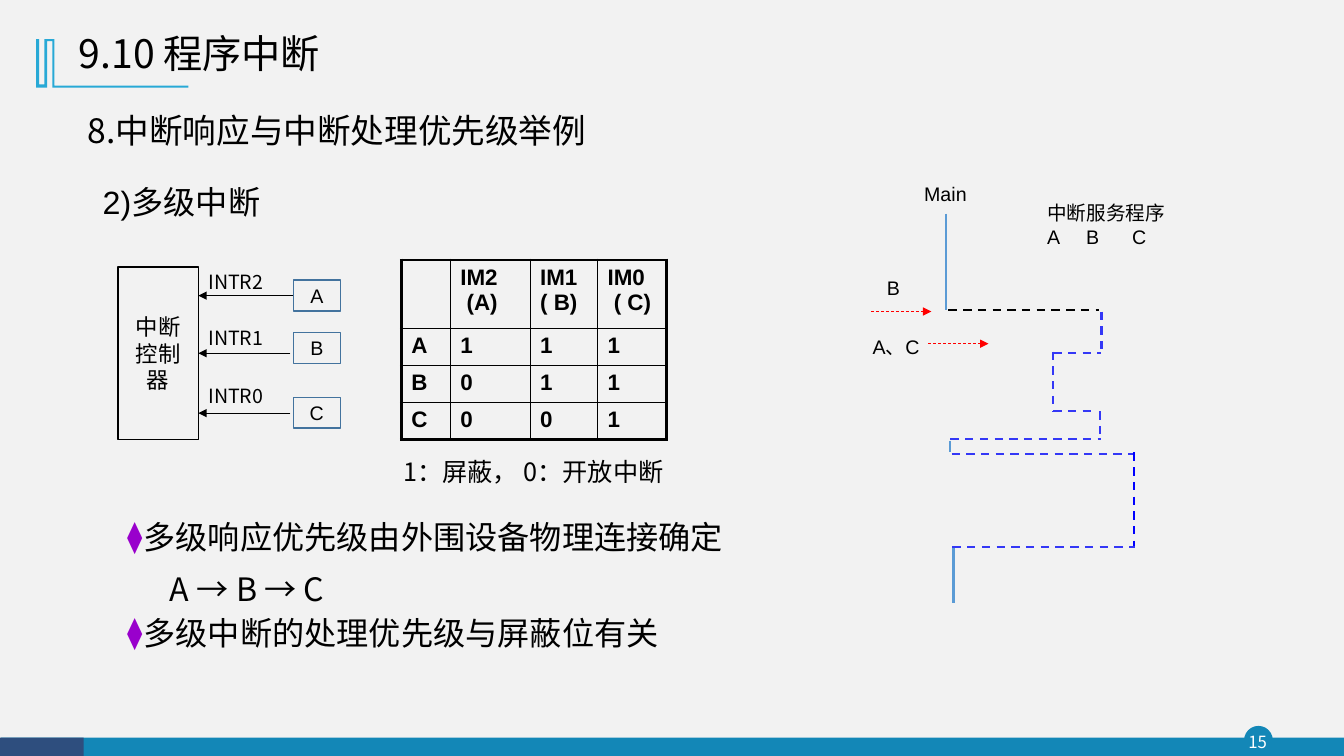
"""Build a slide on multi-level interrupt response and handling priority."""
from lxml.etree import SubElement
from pptx import Presentation
from pptx.dml.color import RGBColor
from pptx.enum.dml import MSO_LINE
from pptx.enum.shapes import MSO_CONNECTOR, MSO_SHAPE
from pptx.enum.text import MSO_ANCHOR, MSO_AUTO_SIZE, PP_ALIGN
from pptx.oxml.ns import qn
from pptx.util import Cm, Pt

BLACK = RGBColor(0x00, 0x00, 0x00)
WHITE = RGBColor(0xFF, 0xFF, 0xFF)
BACKGROUND = RGBColor(0xF2, 0xF2, 0xF2)
TEAL = RGBColor(0x13, 0x87, 0xB7)
NAVY = RGBColor(0x2E, 0x4E, 0x7E)
SKY = RGBColor(0x28, 0xA9, 0xD6)
DEVICE_LINE = RGBColor(0x43, 0x73, 0x9E)
PROGRAM_BLUE = RGBColor(0x5B, 0x9B, 0xD5)
SERVICE_BLUE = RGBColor(0x34, 0x38, 0xF6)
DEEP_BLUE = RGBColor(0x00, 0x00, 0xFF)
RED = RGBColor(0xFF, 0x00, 0x00)
PURPLE = RGBColor(0x99, 0x00, 0xCC)
SANS = "Noto Sans CJK SC"
HEADING = "Noto Sans CJK JP"
LATIN = "Arial"

ORNAMENT = [
    (1.37, 0.99), (1.37, 2.16), (4.75, 2.16), (4.75, 2.21), (1.32, 2.21),
    (1.32, 1.04), (1.19, 1.04), (1.19, 2.21), (0.91, 2.21), (0.91, 0.99),
    (0.99, 0.99), (0.99, 2.13), (1.12, 2.13), (1.12, 0.99),
]
MASK_ROWS = [
    ["", "IM2\n (A)", "IM1\n( B)", "IM0\n ( C)"],
    ["A", "1", "1", "1"],
    ["B", "0", "1", "1"],
    ["C", "0", "0", "1"],
]
PROGRAM_LINES = [
    (23.83, 5.38, 23.83, 7.82),
    (23.95, 11.1, 23.95, 11.4),
    (24.03, 13.79, 24.03, 15.19),
]
SERVICE_LINES = [
    (23.9, 7.82, 27.69, 7.82, BLACK),
    (27.76, 7.85, 27.76, 8.94, SERVICE_BLUE),
    (26.54, 8.89, 27.74, 8.89, SERVICE_BLUE),
    (26.54, 8.86, 26.54, 10.36, SERVICE_BLUE),
    (26.54, 10.36, 27.64, 10.36, SERVICE_BLUE),
    (27.71, 10.36, 27.71, 11.07, SERVICE_BLUE),
    (23.95, 11.07, 27.74, 11.07, SERVICE_BLUE),
    (23.98, 11.43, 28.58, 11.43, SERVICE_BLUE),
    (28.58, 11.4, 28.58, 13.79, DEEP_BLUE),
    (24.0, 13.79, 28.6, 13.79, SERVICE_BLUE),
]


def add_run(paragraph, text, size, font=SANS, color=BLACK, bold=False):
    run = paragraph.add_run()
    run.text = text
    run.font.size = Pt(size)
    run.font.bold = bold
    run.font.name = font
    run.font.color.rgb = color
    east_asian = SubElement(run.font._element, qn("a:ea"))
    east_asian.set("typeface", SANS if font == LATIN else font)


def add_label(slide, left, top, width, height, text, size, font=SANS):
    frame = slide.shapes.add_textbox(Cm(left), Cm(top), Cm(width), Cm(height)).text_frame
    frame.word_wrap = True
    add_run(frame.paragraphs[0], text, size, font)
    return frame


def add_box(slide, left, top, width, height, fill=None, line=None, kind=MSO_SHAPE.RECTANGLE):
    shape = slide.shapes.add_shape(kind, Cm(left), Cm(top), Cm(width), Cm(height))
    shape.shadow.inherit = False
    if fill is None:
        shape.fill.background()
    else:
        shape.fill.solid()
        shape.fill.fore_color.rgb = fill
    if line is None:
        shape.line.fill.background()
    else:
        shape.line.color.rgb = line
        shape.line.width = Pt(1)
    return shape


def add_centred_text(shape, text, size, font=SANS, color=BLACK):
    shape.text_frame.word_wrap = True
    shape.text_frame.vertical_anchor = MSO_ANCHOR.MIDDLE
    paragraph = shape.text_frame.paragraphs[0]
    paragraph.alignment = PP_ALIGN.CENTER
    add_run(paragraph, text, size, font, color)


def add_line(slide, x1, y1, x2, y2, color, width=1.5, dashed=False, arrow=False):
    line = slide.shapes.add_connector(MSO_CONNECTOR.STRAIGHT, Cm(x1), Cm(y1), Cm(x2), Cm(y2))
    line.line.color.rgb = color
    line.line.width = Pt(width)
    if dashed:
        line.line.dash_style = MSO_LINE.DASH
    if arrow:
        SubElement(line.line._get_or_add_ln(), qn("a:tailEnd")).set("type", "triangle")
    SubElement(line._element.spPr, qn("a:effectLst"))
    return line


def set_bullet(paragraph, hanging):
    properties = paragraph._p.get_or_add_pPr()
    properties.set("marL", str(Cm(hanging)))
    properties.set("indent", str(-Cm(hanging)))
    color = SubElement(SubElement(properties, qn("a:buClr")), qn("a:srgbClr"))
    color.set("val", str(PURPLE))
    SubElement(properties, qn("a:buSzPct")).set("val", "96000")
    SubElement(properties, qn("a:buFont")).set("typeface", LATIN)
    SubElement(properties, qn("a:buChar")).set("char", "⧫")


def place(shape, left, top, width, height):
    shape.left, shape.top, shape.width, shape.height = Cm(left), Cm(top), Cm(width), Cm(height)
    shape.text_frame.auto_size = MSO_AUTO_SIZE.NONE
    shape.text_frame.word_wrap = True


def fill_title(title):
    place(title, 1.73, 0.53, 11.4, 1.73)
    title.text_frame.vertical_anchor = MSO_ANCHOR.MIDDLE
    paragraph = title.text_frame.paragraphs[0]
    paragraph.alignment = PP_ALIGN.LEFT
    paragraph.line_spacing = 0.9
    add_run(paragraph, "9.10 程序中断", 28)


def fill_conclusions(body):
    place(body, 2.95, 12.58, 15.85, 3.9)
    lines = [
        ("多级响应优先级由外围设备物理连接确定", True, 37),
        ("A → B → C", False, 37),
        ("多级中断的处理优先级与屏蔽位有关", True, 31.5),
    ]
    for index, (text, bulleted, spacing) in enumerate(lines):
        frame = body.text_frame
        paragraph = frame.add_paragraph() if index else frame.paragraphs[0]
        if bulleted:
            set_bullet(paragraph, 0.41)
        else:
            properties = paragraph._p.get_or_add_pPr()
            properties.set("marL", str(Cm(1.08)))
            properties.set("indent", "0")
            SubElement(properties, qn("a:buNone"))
        paragraph.space_before = Pt(0)
        paragraph.line_spacing = Pt(spacing)
        add_run(paragraph, text, 23)


def set_borders(cell, widths):
    properties = cell._tc.get_or_add_tcPr()
    for side, width in zip("LRTB", widths):
        line = SubElement(properties, qn(f"a:ln{side}"), w=str(Pt(width)))
        SubElement(SubElement(line, qn("a:solidFill")), qn("a:srgbClr")).set("val", str(BLACK))


def add_mask_table(slide):
    column_widths, row_heights = [1.24, 2.01, 1.7, 1.73], [1.73, 0.93, 0.93, 0.93]
    table = slide.shapes.add_table(
        4, 4, Cm(10.11), Cm(6.55), Cm(sum(column_widths)), Cm(sum(row_heights))).table
    for column, width in zip(table.columns, column_widths):
        column.width = Cm(width)
    for row, height in zip(table.rows, row_heights):
        row.height = Cm(height)
    for r, values in enumerate(MASK_ROWS):
        for c, value in enumerate(values):
            cell = table.cell(r, c)
            outer = (c == 0, c == 3, r == 0, r == 3)
            set_borders(cell, [2.25 if edge else 1 for edge in outer])
            cell.fill.background()
            for index, text in enumerate(value.split("\n")):
                frame = cell.text_frame
                paragraph = frame.add_paragraph() if index else frame.paragraphs[0]
                add_run(paragraph, text, 16, LATIN, bold=True)


def add_controller(slide):
    controller = add_box(slide, 2.97, 6.73, 2.03, 4.34, line=BLACK)
    add_centred_text(controller, "中断控制器", 16)
    requests = [("A", "INTR2", 7.06, 6.68, 7.39, 7.45),
                ("B", "INTR1", 8.38, 8.08, 7.32, 8.9),
                ("C", "INTR0", 10.01, 9.55, 7.32, 10.41)]
    for name, signal, box_top, label_top, start, y in requests:
        device = add_box(slide, 7.39, box_top, 1.19, 0.78, line=DEVICE_LINE)
        add_centred_text(device, name, 14, LATIN)
        add_label(slide, 5, label_top, 1.96, 0.86, signal, 14)
        arrow = add_line(slide, start, y, 5, y, BLACK, 0.5, arrow=True)
        if name == "A":
            arrow.begin_connect(device, 1)
        elif name == "B":
            arrow.end_connect(controller, 3)


def add_timeline(slide):
    for points in PROGRAM_LINES:
        add_line(slide, *points, PROGRAM_BLUE)
    for segment in SERVICE_LINES:
        add_line(slide, *segment, dashed=True)
    for x, y in [(21.95, 7.85), (23.39, 8.66)]:
        add_line(slide, x, y, x + 1.52, y, RED, 0.5, dashed=True, arrow=True)
    add_label(slide, 23.04, 4.47, 1.6, 0.86, "Main", 14, LATIN)
    add_label(slide, 22.1, 6.83, 1.07, 0.86, "B", 14, LATIN)
    add_label(slide, 21.74, 8.31, 2.57, 0.89, "A、C", 14, LATIN)
    services = add_label(slide, 26.14, 4.95, 3.94, 1.45, "中断服务程序", 14, LATIN)
    names = services.add_paragraph()
    tabs = SubElement(names._p.get_or_add_pPr(), qn("a:tabLst"))
    for position in (0.98, 2.14):
        SubElement(tabs, qn("a:tab"), pos=str(Cm(position)), algn="l")
    add_run(names, "A\tB\tC", 14, LATIN)


def add_decoration(slide):
    badge = add_box(slide, 31.37, 18.31, 0.69, 0.69, TEAL, TEAL, MSO_SHAPE.OVAL)
    add_box(slide, 0.03, 18.59, 33.84, 0.46, TEAL)
    add_box(slide, 0, 18.59, 2.11, 0.46, NAVY)
    number = slide.shapes.add_textbox(badge.left - Cm(0.08), badge.top, Cm(0.81), Cm(0.79))
    frame = number.text_frame
    frame.margin_left = frame.margin_right = frame.margin_top = frame.margin_bottom = Cm(0)
    add_centred_text(number, "15", 12, color=WHITE)
    points = [(Cm(x), Cm(y)) for x, y in ORNAMENT]
    builder = slide.shapes.build_freeform(*points[0])
    builder.add_line_segments(points[1:])
    ornament = builder.convert_to_shape()
    ornament.shadow.inherit = False
    ornament.fill.solid()
    ornament.fill.fore_color.rgb = SKY
    ornament.line.fill.background()


def main():
    presentation = Presentation()
    presentation.slide_width, presentation.slide_height = Cm(33.87), Cm(19.05)
    slide = presentation.slides.add_slide(presentation.slide_layouts[1])
    slide.background.fill.solid()
    slide.background.fill.fore_color.rgb = BACKGROUND
    add_decoration(slide)
    fill_title(slide.shapes.title)
    add_label(slide, 1.96, 2.64, 13.59, 1.27, "8.中断响应与中断处理优先级举例", 24, HEADING)
    add_label(slide, 2.34, 4.47, 5.36, 1.24, "2)多级中断", 23, LATIN)
    add_controller(slide)
    add_mask_table(slide)
    add_label(slide, 9.91, 11.38, 8.61, 1.02, "1：屏蔽， 0：开放中断", 18)
    fill_conclusions(slide.placeholders[1])
    add_timeline(slide)
    presentation.save("out.pptx")


if __name__ == "__main__":
    main()
